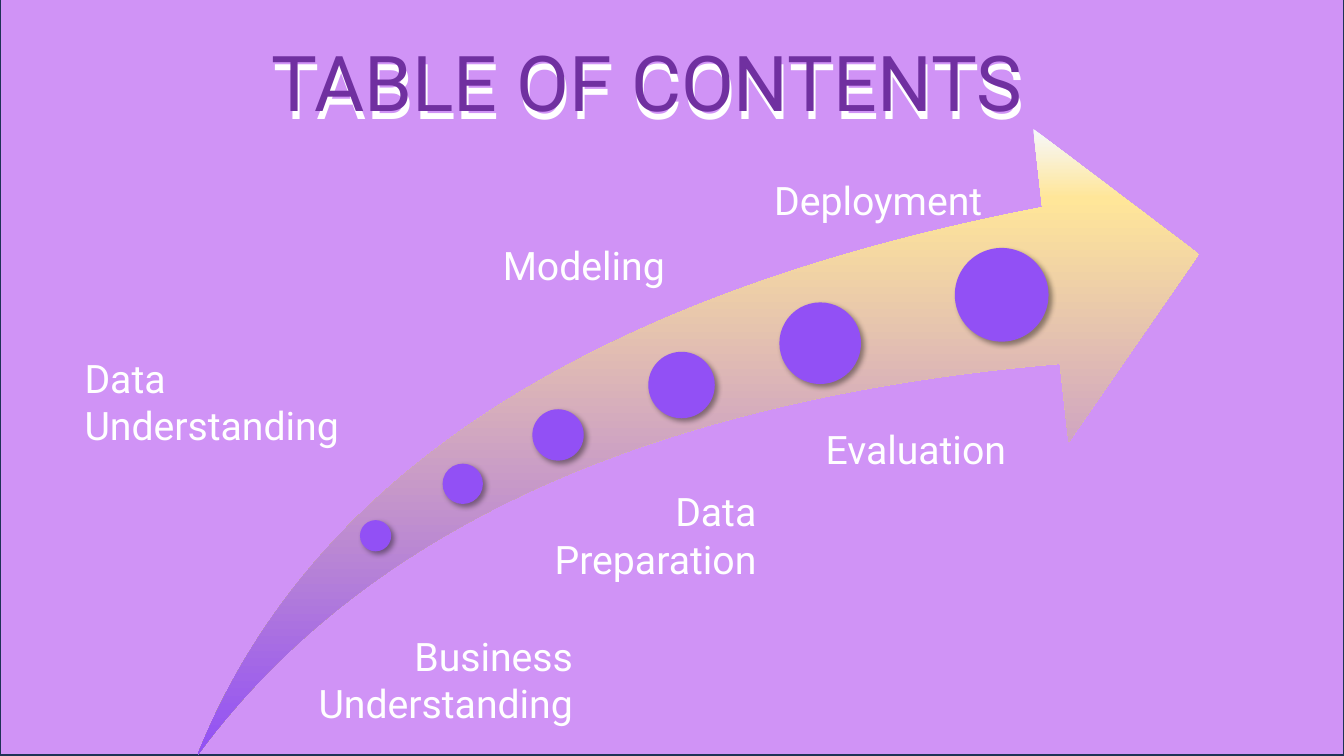
from pptx import Presentation
from pptx.dml.color import RGBColor
from pptx.enum.shapes import MSO_SHAPE as SHAPE
from pptx.enum.text import MSO_AUTO_SIZE as AUTO, PP_ALIGN as ALIGN
from pptx.oxml import parse_xml
from pptx.oxml.ns import nsdecls
from pptx.util import Inches, Pt


def rgb(value):
    return RGBColor.from_string(value)


def add_text(text, x, y, w, h, size, color, align):
    tf = s.shapes.add_textbox(Inches(x), Inches(y), Inches(w), Inches(h)).text_frame
    tf.word_wrap = True
    tf.auto_size = AUTO.SHAPE_TO_FIT_TEXT
    p = tf.paragraphs[0]
    p.text = text
    p.alignment = align
    p.font.name = "Roboto"
    p.font.size = Pt(size)
    p.font.color.rgb = rgb(color)


prs = Presentation()
prs.slide_width, prs.slide_height = Inches(13.33), Inches(7.5)
s = prs.slides.add_slide(prs.slide_layouts[6])

backdrop = s.shapes.add_shape(SHAPE.RECTANGLE, 0, Inches(-0.01), Inches(13.33), Inches(7.5))
backdrop.shadow.inherit = False
backdrop.fill.solid()
backdrop.fill.fore_color.rgb = rgb("D093F6")
backdrop.line.color.rgb = rgb("1E3256")
backdrop.line.width = Pt(1)

for x, y, w, color in [(-0.15, 0.37, 13.17, "FFFFFF"), (0.74, 0.29, 11.35, "7030A0")]:
    add_text("TABLE OF CONTENTS", x, y, w, 1.03, 55, color, ALIGN.CENTER)

arrow = s.shapes.add_shape(SHAPE.SWOOSH_ARROW, Inches(1.96), Inches(1.28), Inches(9.93), Inches(6.21))
arrow.shadow.inherit = False
arrow.adjustments[0] = arrow.adjustments[1] = 0.25
arrow.line.fill.background()
stops = "".join(
    f'<a:gs pos="{pos * 1000}"><a:srgbClr val="{color}"/></a:gs>'
    for pos, color in [(0, "F6F8FC"), (11, "FFE699"), (100, "9250F5")]
)
arrow._element.spPr.insert(2, parse_xml(
    f'<a:gradFill {nsdecls("a")} rotWithShape="1"><a:gsLst>{stops}</a:gsLst>'
    '<a:lin ang="5400000" scaled="0"/></a:gradFill>'
))

milestones = [
    (3.57, 5.16, 0.31),
    (4.39, 4.6, 0.4),
    (5.28, 4.06, 0.51),
    (6.43, 3.49, 0.66),
    (7.73, 3, 0.81),
    (9.47, 2.46, 0.93),
]
for x, y, d in milestones:
    dot = s.shapes.add_shape(SHAPE.OVAL, Inches(x), Inches(y), Inches(d), Inches(d))
    dot.fill.solid()
    dot.fill.fore_color.rgb = rgb("9250F5")
    dot.line.fill.background()
    dot._element.spPr.append(parse_xml(
        f'<a:effectLst {nsdecls("a")}>'
        f'<a:outerShdw blurRad="{Pt(4)}" dist="{Pt(3)}" dir="2700000" algn="tl" rotWithShape="0">'
        '<a:srgbClr val="000000"><a:alpha val="40000"/></a:srgbClr>'
        '</a:outerShdw></a:effectLst>'
    ))

phases = [
    ("Business Understanding", 2.47, 6.22, 3.31, 1.04, ALIGN.RIGHT),
    ("Data Understanding", 0.74, 3.47, 3.31, 1.04, ALIGN.LEFT),
    ("Data Preparation", 4.77, 4.79, 2.83, 1.04, ALIGN.RIGHT),
    ("Modeling", 1.37, 2.34, 8.84, 0.57, ALIGN.CENTER),
    ("Evaluation", 8.09, 4.17, 5, 0.57, ALIGN.LEFT),
    ("Deployment", 4.29, 1.7, 8.84, 0.57, ALIGN.CENTER),
]
for text, x, y, w, h, align in phases:
    add_text(text, x, y, w, h, 28, "FFFFFF", align)

prs.save("out.pptx")
